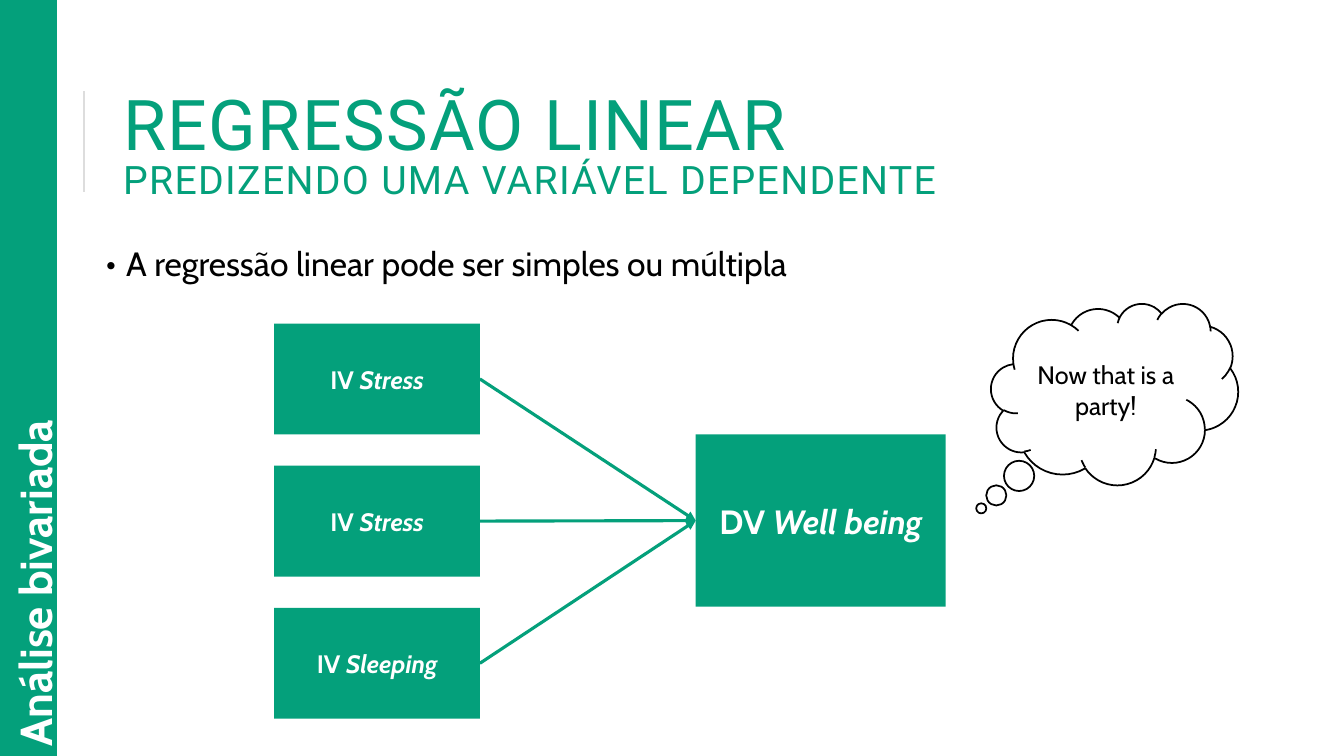
"""Build a slide on simple and multiple linear regression."""
from lxml import etree
from pptx import Presentation, util as u
from pptx.dml.color import RGBColor
from pptx.enum import shapes as s, text as t
from pptx.oxml.ns import qn

GREEN = RGBColor(0x04, 0xA0, 0x7B)
WHITE = RGBColor(0xFF, 0xFF, 0xFF)
BLACK = RGBColor(0, 0, 0)
GREY = RGBColor(0xDD, 0xDD, 0xDD)
MID = t.MSO_ANCHOR.MIDDLE
LEFT, CENTER = t.PP_ALIGN.LEFT, t.PP_ALIGN.CENTER


def write(shape, runs, align=LEFT, anchor=t.MSO_ANCHOR.TOP, **base):
    """Fill a shape with one paragraph of formatted runs."""
    frame = shape.text_frame
    frame.word_wrap = True
    frame.auto_size = t.MSO_AUTO_SIZE.NONE
    frame.vertical_anchor = anchor
    para = frame.paragraphs[0]
    para.alignment = align
    for words, extra in runs:
        if words == "\n":
            para.add_line_break()
            continue
        run = para.add_run()
        run.text = words
        look = {"name": "Cabin", **base, **extra}
        run.font.color.rgb = look.pop("color")
        for key, value in look.items():
            setattr(run.font, key, value)
    return para


def draw(kind, box, fill=None, line=None):
    """Add a flat preset shape at a box given in inches."""
    shape = page.shapes.add_shape(kind, *map(u.Inches, box))
    shape.shadow.inherit = False
    for part, color in ((shape.fill, fill), (shape.line.fill, line)):
        if color is None:
            part.background()
        else:
            part.solid()
            part.fore_color.rgb = color
    if line is not None:
        shape.line.width = u.Pt(1.25)
    return shape


deck = Presentation()
deck.slide_width, deck.slide_height = u.Inches(13.33), u.Inches(7.5)
page = deck.slides.add_slide(deck.slide_layouts[5])
rect = s.MSO_SHAPE.RECTANGLE

title = page.shapes.title
title.left, title.top, title.width, title.height = map(u.Inches, (1.12, 0.66, 10.63, 1.64))
para = write(title, [
    ("REGRESSÃO LINEAR", {"size": u.Pt(50)}),
    ("\n", {}),
    ("PREDIZENDO UMA VARIÁVEL DEPENDENTE", {"size": u.Pt(28)}),
], anchor=MID, name="Roboto", color=GREEN)
para.line_spacing = 0.8
for run in para.runs:
    run.font._element.set("spc", "100")

body = page.shapes.add_textbox(*map(u.Inches, (1, 2.41, 11.58, 1.01)))
para = write(body, [("A regressão linear pode ser simples ou múltipla", {})],
             size=u.Pt(24), color=BLACK)
for side in ("left", "top", "right", "bottom"):
    setattr(body.text_frame, f"margin_{side}", u.Inches(0.05))
for key, value in {"line_spacing": 0.9, "space_before": u.Pt(12), "space_after": u.Pt(2)}.items():
    setattr(para, key, value)
props = para._p.get_or_add_pPr()
props.set("marL", str(u.Inches(0.2)))
props.set("indent", str(u.Inches(-0.2)))
etree.SubElement(props, qn("a:buFont")).set("typeface", "Cabin")
etree.SubElement(props, qn("a:buChar")).set("char", "•")

goal = draw(rect, (6.9, 4.31, 2.48, 1.71), GREEN)
write(goal, [("DV ", {}), ("Well being", {"italic": True})], CENTER, MID,
      size=u.Pt(24), color=WHITE, bold=True)

links = []
for row, cause in enumerate(("Stress", "Stress", "Sleeping")):
    box = draw(rect, (2.72, 3.21 + 1.41 * row, 2.04, 1.1), GREEN)
    write(box, [("IV ", {}), (cause, {"italic": True})], CENTER, MID,
          size=u.Pt(18), color=WHITE, bold=True)
    link = page.shapes.add_connector(s.MSO_CONNECTOR.STRAIGHT, 0, 0, 0, 0)
    link.begin_connect(box, 3)
    link.end_connect(goal, 1)
    links.append((link, GREEN, 2.25))

rule = page.shapes.add_connector(
    s.MSO_CONNECTOR.STRAIGHT, *map(u.Inches, (0.83, 1.9, 0.83, 0.9)))
for link, color, width in links + [(rule, GREY, 1.5)]:
    link.line.color.rgb = color
    link.line.width = u.Pt(width)
    if link is not rule:
        etree.SubElement(link.line._get_or_add_ln(), qn("a:tailEnd")).set("type", "triangle")
    etree.SubElement(link._element.spPr, qn("a:effectLst"))

cloud = draw(s.MSO_SHAPE.CLOUD_CALLOUT, (9.83, 3.01, 2.45, 1.8), line=BLACK)
cloud.adjustments[0], cloud.adjustments[1] = -0.54, 0.63
write(cloud, [("Now that is a party!", {})], CENTER, MID, size=u.Pt(18), color=BLACK)

draw(rect, (0, 0, 0.56, 7.5), GREEN, GREEN)
label = page.shapes.add_textbox(*map(u.Inches, (-2.33, 4.51, 5.35, 0.64)))
label.rotation = 270
write(label, [("Análise bivariada", {})], size=u.Pt(32), color=WHITE, bold=True)

deck.save("out.pptx")
